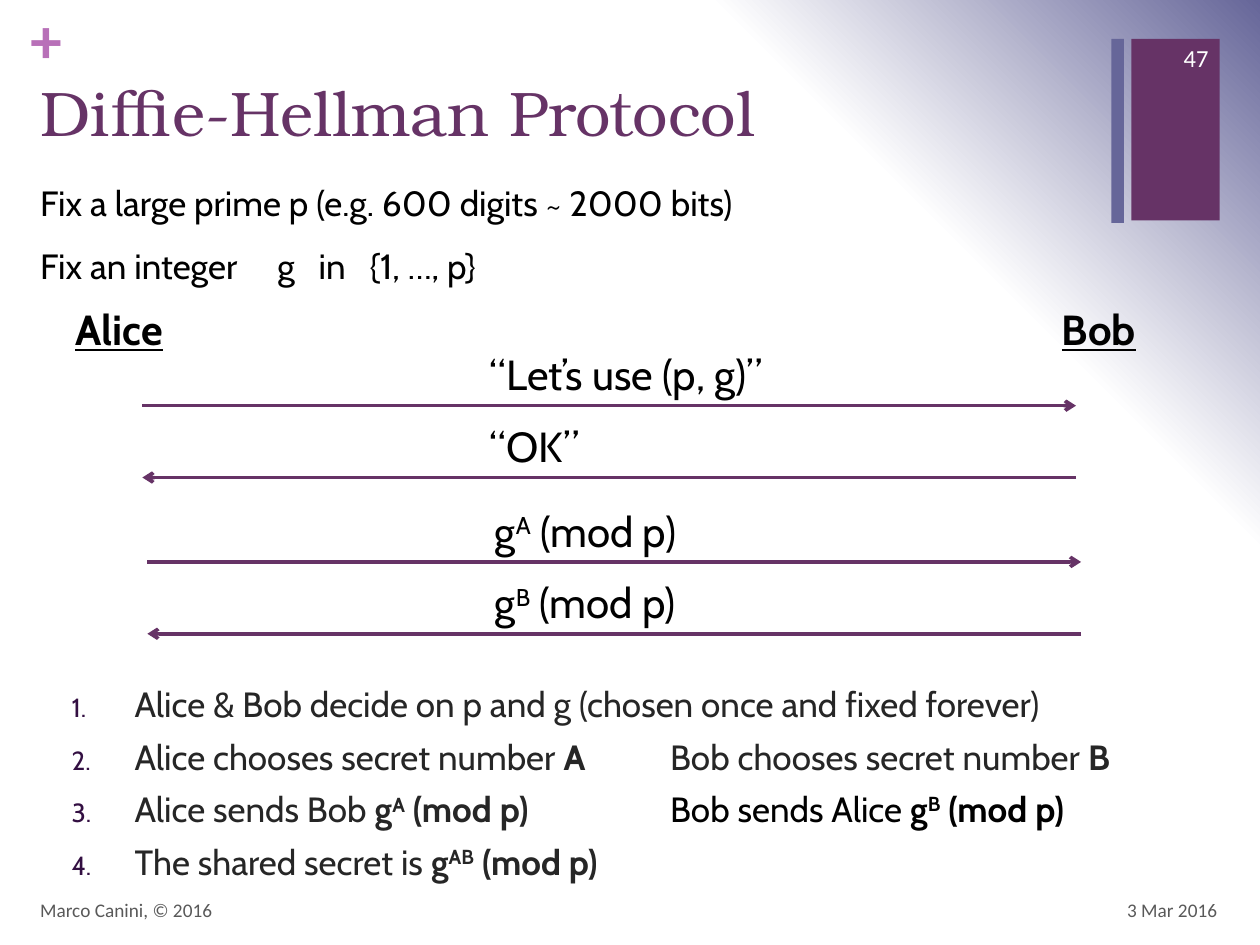
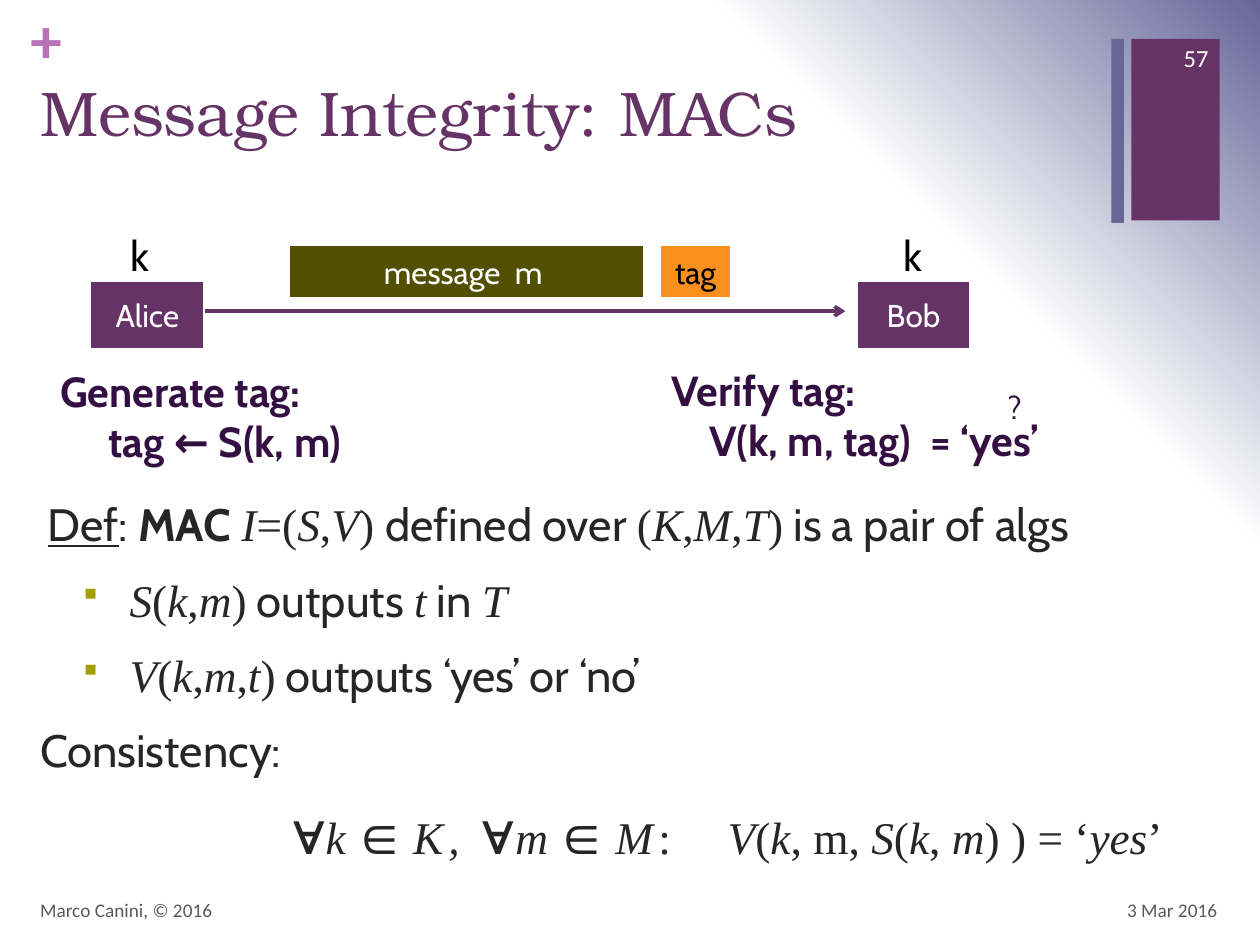
from itertools import groupby

from lxml import etree
from pptx import Presentation
from pptx.dml.color import RGBColor
from pptx.enum.shapes import MSO_CONNECTOR, MSO_SHAPE
from pptx.enum.text import MSO_ANCHOR, MSO_AUTO_SIZE, PP_ALIGN
from pptx.oxml import parse_xml
from pptx.oxml.ns import nsdecls, qn
from pptx.util import Inches, Pt

PLUM, SLATE, INK, BODY = "663366", "666699", "330F42", "262626"
BLACK, WHITE, GREY, ORCHID = "000000", "FFFFFF", "595959", "B870B8"
OLIVE, LIME, ORANGE = "525000", "A3A101", "F7901E"
TEXT, SERIF, SMALL, HEAD = "Cabin", "Times New Roman", "Calibri", "TeX Gyre Bonum"
BOLD = {"bold": True}
SUPER = {"bold": True, "baseline": 30000}
LABEL = {"size": 24, "color": BLACK}
NOTE = {"size": 20, "color": BLACK}
FOOT = {"size": 11, "name": SMALL, "color": GREY}


def rgb(value):
    return RGBColor.from_string(value)


def sub(parent, tag, **attrs):
    return etree.SubElement(parent, qn(tag), {k: str(v) for k, v in attrs.items()})


def gap(points, **fmt):
    return " ", {"spc": round(points * 100), **fmt}


def math(text):
    return [("".join(chars), {"name": SERIF, "italic": italic})
            for italic, chars in groupby(text, str.isalpha)]


def quantified(variable, domain, after):
    big = {"name": SERIF, "size": 32.4}
    letter = {"name": SERIF, "italic": True, "spc": 300}
    return [("∀", big), (variable, letter), ("∈", {**big, "spc": 300}),
            (domain, letter), (after, {"name": SERIF})]


class Deck:
    def __init__(self):
        self.prs = Presentation()
        self.prs.slide_width, self.prs.slide_height = Inches(10), Inches(7.5)
        self.s = None
        self.set_background()

    def set_background(self):
        c_sld = self.prs.slide_master.element.find(qn("p:cSld"))
        for old in c_sld.findall(qn("p:bg")):
            c_sld.remove(old)
        stops = "".join(f'<a:gs pos="{pos}000"><a:srgbClr val="{color}"/></a:gs>'
                        for pos, color in [(0, WHITE), (75, WHITE), (100, SLATE)])
        c_sld.insert(0, parse_xml(
            f'<p:bg {nsdecls("p", "a")}><p:bgPr><a:gradFill rotWithShape="1">'
            f'<a:gsLst>{stops}</a:gsLst><a:path path="circle">'
            '<a:fillToRect t="100000" r="100000"/></a:path></a:gradFill>'
            '<a:effectLst/></p:bgPr></p:bg>'))

    def slide(self, title, number):
        self.s = self.prs.slides.add_slide(self.prs.slide_layouts[5])
        self.rect((8.98, 0.31, 0.7, 1.44), PLUM)
        self.text((0.24, 0, 0.29, 0.61), "+", margin=0,
                  size=36, name=SMALL, color=ORCHID, bold=True)
        self.rect((8.82, 0.31, 0.1, 1.46), SLATE)
        sp = self.s.shapes.title
        sp.left, sp.top, sp.width, sp.height = map(Inches, (0.22, 0.53, 8.59, 1.22))
        self.fill_text(sp.text_frame, title, size=36, name=HEAD, color=PLUM)
        for box, words, fmt in [
            ((7.43, 7.02, 2.33, 0.4), "3 Mar 2016", {**FOOT, "align": PP_ALIGN.RIGHT}),
            ((0.22, 7.02, 6.7, 0.4), "Marco Canini, © 2016", FOOT),
            ((9.08, 0.26, 0.61, 0.4), number,
             {**FOOT, "size": 14, "color": WHITE, "align": PP_ALIGN.RIGHT}),
        ]:
            self.text(box, words, anchor=MSO_ANCHOR.MIDDLE, **fmt)

    def rect(self, box, fill, content=None, color=WHITE):
        sp = self.s.shapes.add_shape(MSO_SHAPE.RECTANGLE, *map(Inches, box))
        sp.shadow.inherit = False
        sp.fill.solid()
        sp.fill.fore_color.rgb = rgb(fill)
        if content is None:
            sp.line.fill.background()
            return
        sp.line.color.rgb, sp.line.width = rgb(WHITE), Pt(2.25)
        self.fill_text(sp.text_frame, content, anchor=MSO_ANCHOR.MIDDLE,
                       align=PP_ALIGN.CENTER, size=18, color=color)

    def text(self, box, content, **fmt):
        sp = self.s.shapes.add_textbox(*map(Inches, box))
        self.fill_text(sp.text_frame, content, **fmt)

    def fill_text(self, tf, content, anchor=MSO_ANCHOR.TOP, align=PP_ALIGN.LEFT,
                  wrap=True, margin=None, **font):
        tf.word_wrap, tf.vertical_anchor = wrap, anchor
        tf.auto_size = MSO_AUTO_SIZE.NONE if wrap else MSO_AUTO_SIZE.SHAPE_TO_FIT_TEXT
        if margin is not None:
            for side in ("left", "top", "right", "bottom"):
                setattr(tf, f"margin_{side}", Inches(margin))
        paragraphs = [(content, {})] if isinstance(content, str) else content
        for i, (runs, layout) in enumerate(paragraphs):
            p = tf.add_paragraph() if i else tf.paragraphs[0]
            p.alignment = align
            self.lay_out(p, **layout)
            for words, fmt in [(runs, {})] if isinstance(runs, str) else runs:
                self.run(p, words, {"name": TEXT, **font, **fmt})

    def lay_out(self, p, before=0, spacing=None, indent=(0, 0), bullet=None):
        p.space_before = Pt(before)
        if spacing:
            p.line_spacing = spacing
        pPr = p._p.get_or_add_pPr()
        for key, value in zip(("marL", "indent", "defTabSz"), (*indent, 1)):
            pPr.set(key, str(Inches(value)))
        if not bullet:
            sub(pPr, "a:buNone")
            return
        mark, color = bullet
        sub(sub(pPr, "a:buClr"), "a:srgbClr", val=color)
        sub(pPr, "a:buSzPct", val=75000)
        if mark == "1.":
            sub(pPr, "a:buAutoNum", type="arabicPeriod")
        else:
            sub(pPr, "a:buFont", typeface="Wingdings", charset=2)
            sub(pPr, "a:buChar", char=mark)

    def run(self, p, words, fmt):
        r = p.add_run()
        r.text = words
        for key, value in fmt.items():
            if key == "color":
                r.font.color.rgb = rgb(value)
            elif key in ("baseline", "spc"):
                r._r.get_or_add_rPr().set(key, str(value))
            else:
                setattr(r.font, key, Pt(value) if key == "size" else value)

    def arrow(self, x1, x2, y):
        line = self.s.shapes.add_connector(
            MSO_CONNECTOR.STRAIGHT, *map(Inches, (x1, y, x2, y)))
        line.line.color.rgb, line.line.width = rgb(PLUM), Pt(2)
        sub(line.line._get_or_add_ln(), "a:tailEnd", type="arrow")
        sub(line._element.spPr, "a:effectLst")

    def message(self, runs, left, y, width, to_bob):
        ends = (left, left + 7.41)
        self.arrow(*(ends if to_bob else ends[::-1]), y)
        self.text((left + 2.66, y - 0.5, width, 0.5), [(runs, {})], wrap=False, **LABEL)


def power(exponent):
    return [("g", BOLD), (exponent, SUPER), (" (mod p)", BOLD)]


def diffie_hellman(deck):
    deck.slide("Diffie-Hellman Protocol", "47")
    step = {"indent": (0.75, -0.5), "before": 6, "bullet": ("1.", INK)}
    steps = [
        [("Alice & Bob decide on p and g (chosen once and fixed forever)", {})],
        [("Alice chooses secret number ", {}), ("A", BOLD),
         ("\tBob chooses secret number ", {}), ("B", BOLD)],
        [("Alice sends Bob ", {}), *power("A")],
        [("The shared secret is ", {}), *power("AB")],
    ]
    deck.text((0.22, 5.37, 9.54, 1.79), [(runs, step) for runs in steps],
              size=20, color=BODY)
    for name, left, width in [("Alice", 0.5, 1.01), ("Bob", 8.33, 0.85)]:
        deck.text((left, 2.36, width, 0.5), name, wrap=False,
                  bold=True, underline=True, **LABEL)
    for exponent, y, to_bob in [("A", 4.46, True), ("B", 5.03, False)]:
        runs = [("g", {}), (exponent, {"baseline": 30000}), (" (mod p)", {})]
        deck.message(runs, 1.17, y, 1.83, to_bob)
    deck.message("“Let’s use (p, g)”", 1.13, 3.22, 2.73, True)
    deck.message("“OK”", 1.13, 3.79, 0.95, False)
    deck.text((0.22, 1.39, 6.1, 0.94), [
        ("Fix a large prime p (e.g. 600 digits ~ 2000 bits)", {}),
        ([("Fix an integer", {}), gap(18.3), ("g", {}), gap(9.1), ("in", {}), gap(9.1),
          ("{1, …, p}", {})], {"spacing": 1.5}),
    ], **NOTE)
    deck.text((5.22, 6.2, 3.74, 0.44),
              [([("Bob sends Alice ", {}), *power("B")], {})], wrap=False, **NOTE)


def message_integrity(deck):
    deck.slide("Message Integrity: MACs", "57")
    item = {"indent": (0.71, -0.37), "before": 12, "bullet": ("§", LIME)}
    deck.text((0.22, 3.89, 9.54, 3.13), [
        ([("Def", {"underline": True}), (": ", {}), ("MAC ", BOLD), *math("I=(S,V) "),
          ("defined over ", {}), *math("(K,M,T)"), (" is a pair of algs", {})],
         {"indent": (0.06, 0), "before": 12}),
        ([*math("S(k,m)"), (" outputs ", {}), *math("t"), (" in ", {}), *math("T")], item),
        ([*math("V(k,m,t)"), (" outputs ‘yes’ or ‘no’", {})], item),
        ("Consistency:", {"before": 12}),
        ([("\t\t", {}), *quantified("k", "K, ", ""), *quantified("m", "M", ":"),
          gap(25.9, name=SERIF), *math("V(k"), (", m, ", {"name": SERIF}),
          *math("S(k, m) ) = ‘yes’")], {"before": 12}),
    ], size=25.9, color=BODY)
    for name, left, key_left in [("Alice", 0.71, 0.94), ("Bob", 6.79, 7.07)]:
        deck.rect((left, 2.22, 0.92, 0.56), PLUM, name)
        deck.text((key_left, 1.77, 0.38, 0.5), "k", wrap=False, **LABEL)
    deck.arrow(1.63, 6.71, 2.47)
    deck.rect((2.29, 1.94, 2.83, 0.43), OLIVE,
              [([("message", {}), gap(4.1), ("m ", {})], {})])
    deck.rect((5.23, 1.94, 0.58, 0.43), ORANGE, "tag", BLACK)
    for box, heading, formula, indent in [
        ((0.38, 2.85, 3.58, 0.91), "Generate tag:", "tag ← S(k, m)", 0.38),
        ((5.23, 2.84, 3.95, 0.91), "Verify tag:",
         [("V(k, m, tag)", {}), gap(5.5), ("= ‘yes’", {})], 0.3),
    ]:
        deck.text(box, [(heading, {}), (formula, {"indent": (indent, 0)})],
                  size=24, color=INK, bold=True)
    deck.text((7.9, 3.03, 0.32, 0.4), "?", wrap=False, size=18, color=INK)


def main():
    deck = Deck()
    diffie_hellman(deck)
    message_integrity(deck)
    deck.prs.save("out.pptx")


if __name__ == "__main__":
    main()
